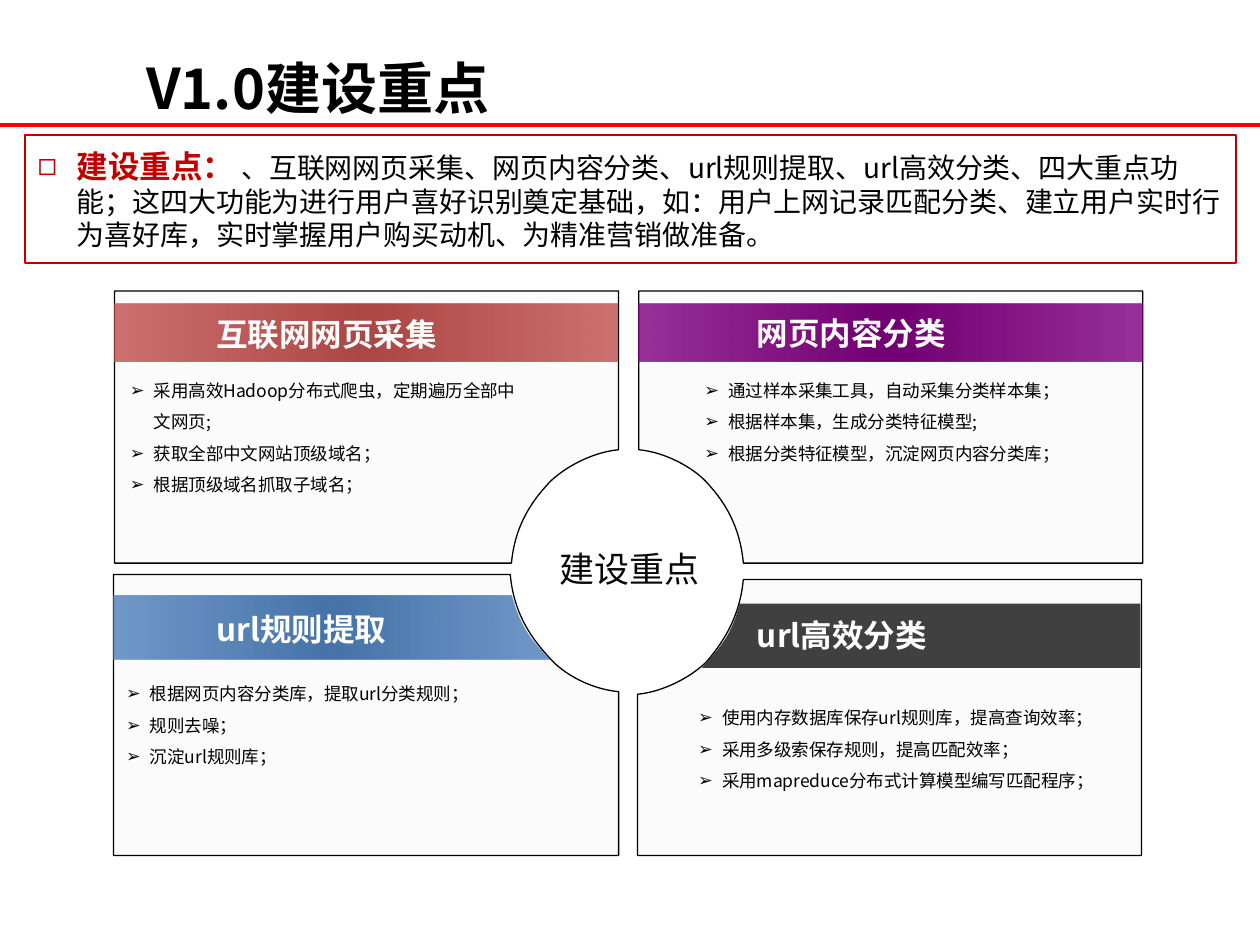
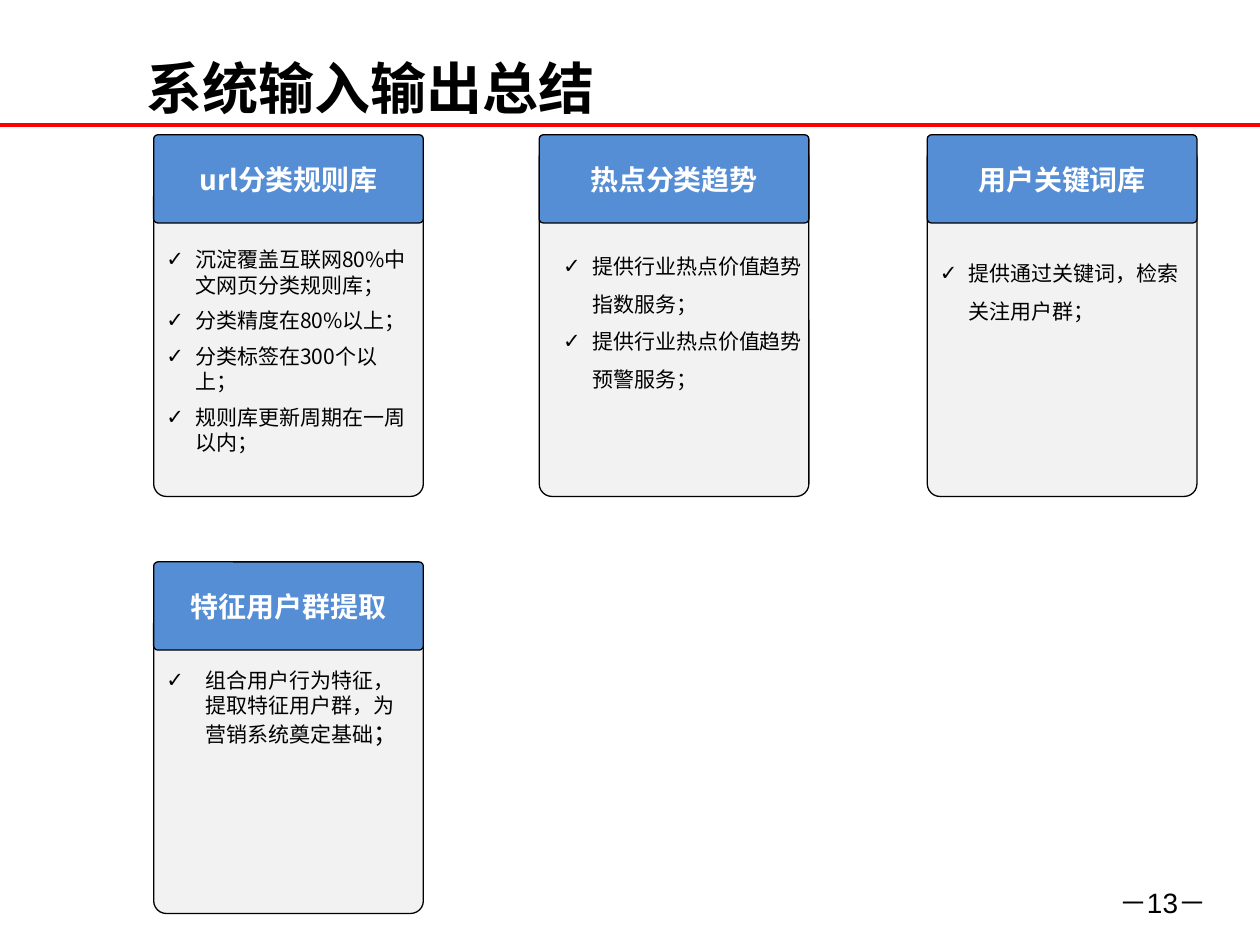
from lxml import etree
from pptx import Presentation
from pptx.dml.color import RGBColor
from pptx.enum.shapes import MSO_CONNECTOR, MSO_SHAPE
from pptx.enum.text import MSO_ANCHOR, MSO_AUTO_SIZE, PP_ALIGN
from pptx.oxml.ns import qn
from pptx.util import Inches, Pt

TOP, MIDDLE, BOTTOM = MSO_ANCHOR.TOP, MSO_ANCHOR.MIDDLE, MSO_ANCHOR.BOTTOM
LEFT, CENTER, RIGHT = PP_ALIGN.LEFT, PP_ALIGN.CENTER, PP_ALIGN.RIGHT
NO_AUTOFIT = MSO_AUTO_SIZE.NONE
RECTANGLE, ROUNDED = MSO_SHAPE.RECTANGLE, MSO_SHAPE.ROUNDED_RECTANGLE
STRAIGHT = MSO_CONNECTOR.STRAIGHT

FONT, BULLET_FONT = "Noto Sans CJK SC", "Arial"
BLACK, WHITE, RED, DARK_RED = "000000", "FFFFFF", "FF0000", "C00000"
PALE, CARD_BLUE, CHARCOAL, NEAR_BLACK = "F2F2F2", "558ED5", "404040", "080808"
COMPARISON_LAYOUT = 4

TITLE = {"size": 32, "bold": True, "anchor": BOTTOM}
INTRO = {"size": 16, "anchor": MIDDLE, "bullet": "◻", "bullet_color": DARK_RED, "indent": 0.31}
BAND_LABEL = {"size": 18, "bold": True, "color": WHITE}
HUB_LABEL = {"size": 20, "color": NEAR_BLACK, "align": CENTER, "line_spacing": 1.1}
POINTS = {"size": 10, "bullet": "➢", "indent": 0.19, "line_spacing": 1.5}
CARD_LABEL = {"size": 16, "bold": True, "color": WHITE, "anchor": MIDDLE, "align": CENTER, "wrap": False}
CHECKS = {"size": 12, "bullet": "✓", "indent": 0.23}
PAGE_NUMBER = {"size": 16, "font": "Arial", "align": RIGHT}

FOCUS_TITLE = ("V1.0建设重点", 6.06)
INTRO_BOX = (0.2, 1.07, 9.61, 1.02)
INTRO_RUNS = [
    ("建设重点： ", {"size": 18, "bold": True, "color": DARK_RED}),
    ("、互联网网页采集、网页内容分类、url规则提取、url高效分类、四大重点功能；"
     "这四大功能为进行用户喜好识别奠定基础，如：用户上网记录匹配分类、"
     "建立用户实时行为喜好库，实时掌握用户购买动机、为精准营销做准备。", {}),
]
HUB = ("建设重点", (4.18, 4.26, 1.64, 0.47))

FOCUS_AREAS = [
    {
        "label": "互联网网页采集", "label_at": (1.62, 2.45),
        "panel": [(4.91, 3.57), (4.7, 3.59, 4.48, 3.71, 4.36, 3.83),
                  (4.25, 3.95, 4.09, 4.14, 4.06, 4.47), (0.91, 4.47), (0.91, 2.31), (4.91, 2.31)],
        "band_box": (0.91, 2.41, 3.99, 0.46),
        "band_colors": ("C0504D", "AB4745"),
        "points_box": (0.93, 2.88, 3.38, 1.1),
        "points": ["采用高效Hadoop分布式爬虫，定期遍历全部中文网页;",
                   "获取全部中文网站顶级域名；", "根据顶级域名抓取子域名；"],
    },
    {
        "label": "网页内容分类", "label_at": (5.91, 2.44),
        "panel": [(5.07, 3.57), (5.28, 3.59, 5.5, 3.71, 5.61, 3.83),
                  (5.72, 3.95, 5.87, 4.14, 5.9, 4.47), (9.07, 4.47), (9.07, 2.31), (5.07, 2.31)],
        "band_box": (5.07, 2.41, 4, 0.46),
        "band_colors": ("800080", "720072"),
        "points_box": (5.49, 2.88, 3.6, 0.85),
        "points": ["通过样本采集工具，自动采集分类样本集；",
                   "根据样本集，生成分类特征模型;", "根据分类特征模型，沉淀网页内容分类库；"],
    },
    {
        "label": "url规则提取", "label_at": (1.62, 4.79),
        "panel": [(4.91, 5.49), (4.69, 5.47, 4.47, 5.35, 4.36, 5.22),
                  (4.25, 5.1, 4.08, 4.9, 4.05, 4.56), (0.9, 4.56), (0.9, 6.79), (4.91, 6.79)],
        "band": [(4.06, 4.73), (4.14, 5.01, 4.24, 5.1, 4.37, 5.23), (0.9, 5.23), (0.9, 4.73)],
        "band_colors": ("4F81BD", "4673A8"),
        "points_box": (0.9, 5.29, 3.62, 0.85),
        "points": ["根据网页内容分类库，提取url分类规则；", "规则去噪；", "沉淀url规则库；"],
    },
    {
        "label": "url高效分类", "label_at": (5.91, 4.84),
        "panel": [(5.06, 5.51), (5.27, 5.49, 5.49, 5.37, 5.61, 5.25),
                  (5.72, 5.12, 5.87, 4.92, 5.9, 4.6), (9.06, 4.6), (9.06, 6.79), (5.06, 6.79)],
        "band": [(5.87, 4.79), (5.8, 5.07, 5.69, 5.16, 5.57, 5.3), (9.05, 5.3), (9.05, 4.79)],
        "band_colors": (CHARCOAL,),
        "points_box": (5.44, 5.48, 3.58, 0.85),
        "points": ["使用内存数据库保存url规则库，提高查询效率；",
                   "采用多级索保存规则，提高匹配效率；", "采用mapreduce分布式计算模型编写匹配程序；"],
    },
]

SUMMARY_TITLE = ("系统输入输出总结", 7.24)
PAGE = ("－13－", (8.57, 6.98, 1.1, 0.52))
CARD_WIDTH, CARD_HEIGHT, HEADER_HEIGHT, CARD_ROUNDING = 2.14, 2.79, 0.7, 0.047
CARDS = [
    {"label": "url分类规则库", "header_at": (1.22, 1.07), "body_top": 1.15,
     "checks_box": (1.22, 1.91, 2.13, 2.04), "style": {"space_after": 6},
     "checks": ["沉淀覆盖互联网80%中文网页分类规则库；", "分类精度在80%以上；",
                "分类标签在300个以上；", "规则库更新周期在一周以内；"]},
    {"label": "热点分类趋势", "header_at": (4.28, 1.07), "body_top": 1.15,
     "checks_box": (4.37, 1.86, 2.13, 1.3), "style": {"line_spacing": 1.5},
     "checks": ["提供行业热点价值趋势指数服务；", "提供行业热点价值趋势预警服务；"]},
    {"label": "用户关键词库", "header_at": (7.36, 1.07), "body_top": 1.15,
     "checks_box": (7.36, 1.92, 2.12, 0.7), "style": {"line_spacing": 1.5},
     "checks": ["提供通过关键词，检索关注用户群；"]},
    {"label": "特征用户群提取", "header_at": (1.22, 4.46), "body_top": 4.46,
     "checks_box": (1.22, 5.25, 2.13, 0.74), "style": {"indent": 0.31},
     "checks": [[("组合用户行为特征，提取特征用户群，为营销系统奠定基础", {}), ("；", {"size": 14})]]},
]


def rgb(color):
    return RGBColor.from_string(color)


def set_values(target, values):
    for name, value in values.items():
        setattr(target, name, value)


def add_child(parent, tag, **attributes):
    return etree.SubElement(parent, qn(tag), attributes)


def place(shape, box):
    set_values(shape, dict(zip(("left", "top", "width", "height"), map(Inches, box))))


def add_bullet(paragraph, style):
    properties = paragraph._p.get_or_add_pPr()
    indent = Inches(style.get("indent", 0))
    properties.set("marL", str(indent))
    properties.set("indent", str(-indent))
    properties.set("hangingPunct", "0")
    if "bullet" in style:
        color = add_child(properties, "a:buClr")
        add_child(color, "a:srgbClr", val=style.get("bullet_color", BLACK))
        add_child(properties, "a:buFont", typeface=BULLET_FONT)
        add_child(properties, "a:buChar", char=style["bullet"])
    else:
        add_child(properties, "a:buNone")


def write_text(shape, paragraphs, style):
    frame = shape.text_frame
    set_values(frame, {
        "auto_size": NO_AUTOFIT, "word_wrap": style.get("wrap", True),
        "vertical_anchor": style.get("anchor", TOP),
        "margin_left": Inches(0.1), "margin_right": Inches(0.1),
        "margin_top": Inches(0.05), "margin_bottom": Inches(0.05),
    })
    for index, runs in enumerate(paragraphs):
        paragraph = frame.add_paragraph() if index else frame.paragraphs[0]
        set_values(paragraph, {
            "alignment": style.get("align", LEFT), "line_spacing": style.get("line_spacing", 1.0),
            "space_before": Pt(0), "space_after": Pt(style.get("space_after", 0)),
        })
        add_bullet(paragraph, style)
        for text, changes in [(runs, {})] if isinstance(runs, str) else runs:
            look = {**style, **changes}
            run = paragraph.add_run()
            run.text = text
            name = look.get("font", FONT)
            set_values(run.font, {"size": Pt(look["size"]), "bold": look.get("bold", False), "name": name})
            run.font.color.rgb = rgb(look.get("color", BLACK))
            add_child(run._r.get_or_add_rPr(), "a:ea", typeface=name)


def add_label(slide, text, box, style):
    shape = slide.shapes.add_textbox(*map(Inches, box))
    write_text(shape, [text], style)


def fill_list(placeholder, paragraphs, box, style):
    place(placeholder, box)
    write_text(placeholder, paragraphs, style)
    tree = placeholder.element.getparent()
    tree.append(placeholder.element)


def paint(shape, fill=None, line=None, width=0.75, alpha=None):
    shape.shadow.inherit = False
    if fill:
        shape.fill.solid()
        shape.fill.fore_color.rgb = rgb(fill)
        if alpha:
            color = shape.element.spPr.find(qn("a:solidFill")).find(qn("a:srgbClr"))
            add_child(color, "a:alpha", val=str(alpha * 1000))
    else:
        shape.fill.background()
    if line:
        shape.line.color.rgb = rgb(line)
        shape.line.width = Pt(width)
    else:
        shape.line.fill.background()


def paint_gradient(shape, edge, middle):
    paint(shape, edge)
    solid = shape.element.spPr.find(qn("a:solidFill"))
    gradient = etree.Element(qn("a:gradFill"), rotWithShape="1")
    stops = add_child(gradient, "a:gsLst")
    for position, color, alpha in ((0, edge, 80), (50, middle, 100), (100, edge, 80)):
        stop = add_child(stops, "a:gs", pos=str(position * 1000))
        add_child(add_child(stop, "a:srgbClr", val=color), "a:alpha", val=str(alpha * 1000))
    add_child(gradient, "a:lin", ang="10800000", scaled="0")
    solid.getparent().replace(solid, gradient)


def add_outline(slide, segments):
    corners = [(Inches(segment[-2]), Inches(segment[-1])) for segment in segments]
    builder = slide.shapes.build_freeform(*corners[0], scale=1.0)
    builder.add_line_segments(corners[1:], close=True)
    shape = builder.convert_to_shape()
    lines = list(shape.element.spPr.iter(qn("a:lnTo")))
    for line, segment in zip(lines, segments[1:]):
        if len(segment) == 6:
            curve = etree.Element(qn("a:cubicBezTo"))
            for x, y in zip(segment[::2], segment[1::2]):
                add_child(curve, "a:pt", x=str(Inches(x) - shape.left), y=str(Inches(y) - shape.top))
            line.getparent().replace(line, curve)
    return shape


def add_box(slide, kind, box, **look):
    shape = slide.shapes.add_shape(kind, *map(Inches, box))
    paint(shape, **look)
    return shape


def start_slide(presentation, title, title_width):
    slide = presentation.slides.add_slide(presentation.slide_layouts[COMPARISON_LAYOUT])
    rule = slide.shapes.add_connector(STRAIGHT, 0, Inches(0.99), Inches(10), Inches(0.99))
    rule.line.color.rgb = rgb(RED)
    rule.line.width = Pt(2.25)
    add_child(rule.element.spPr, "a:effectLst")
    place(slide.shapes.title, (1.06, 0, title_width, 1.01))
    write_text(slide.shapes.title, [title], TITLE)
    lists = [shape for shape in slide.placeholders if shape.placeholder_format.idx]
    return slide, lists


def build_focus_slide(presentation):
    slide, lists = start_slide(presentation, *FOCUS_TITLE)
    intro = add_box(slide, RECTANGLE, INTRO_BOX, line=DARK_RED, width=1)
    write_text(intro, [INTRO_RUNS], INTRO)
    for area, placeholder in zip(FOCUS_AREAS, lists):
        paint(add_outline(slide, area["panel"]), PALE, BLACK, alpha=30)
        if "band_box" in area:
            band = add_box(slide, RECTANGLE, area["band_box"])
        else:
            band = add_outline(slide, area["band"])
        colors = area["band_colors"]
        if len(colors) == 2:
            paint_gradient(band, *colors)
        else:
            paint(band, *colors)
        add_label(slide, area["label"], (*area["label_at"], 2.47, 0.4), BAND_LABEL)
        fill_list(placeholder, area["points"], area["points_box"], POINTS)
    add_label(slide, *HUB, HUB_LABEL)


def build_summary_slide(presentation):
    slide, lists = start_slide(presentation, *SUMMARY_TITLE)
    for card, placeholder in zip(CARDS, lists):
        left, top = card["header_at"]
        body = add_box(slide, ROUNDED, (left, card["body_top"], CARD_WIDTH, CARD_HEIGHT), fill=PALE, line=BLACK)
        header = add_box(slide, ROUNDED, (left, top, CARD_WIDTH, HEADER_HEIGHT), fill=CARD_BLUE, line=BLACK)
        for shape in (body, header):
            shape.adjustments[0] = CARD_ROUNDING
        write_text(header, [card["label"]], CARD_LABEL)
        fill_list(placeholder, card["checks"], card["checks_box"], {**CHECKS, **card["style"]})
    add_label(slide, *PAGE, PAGE_NUMBER)


def main():
    presentation = Presentation()
    presentation.slide_width, presentation.slide_height = Inches(10), Inches(7.5)
    build_focus_slide(presentation)
    build_summary_slide(presentation)
    presentation.save("out.pptx")


if __name__ == "__main__":
    main()
